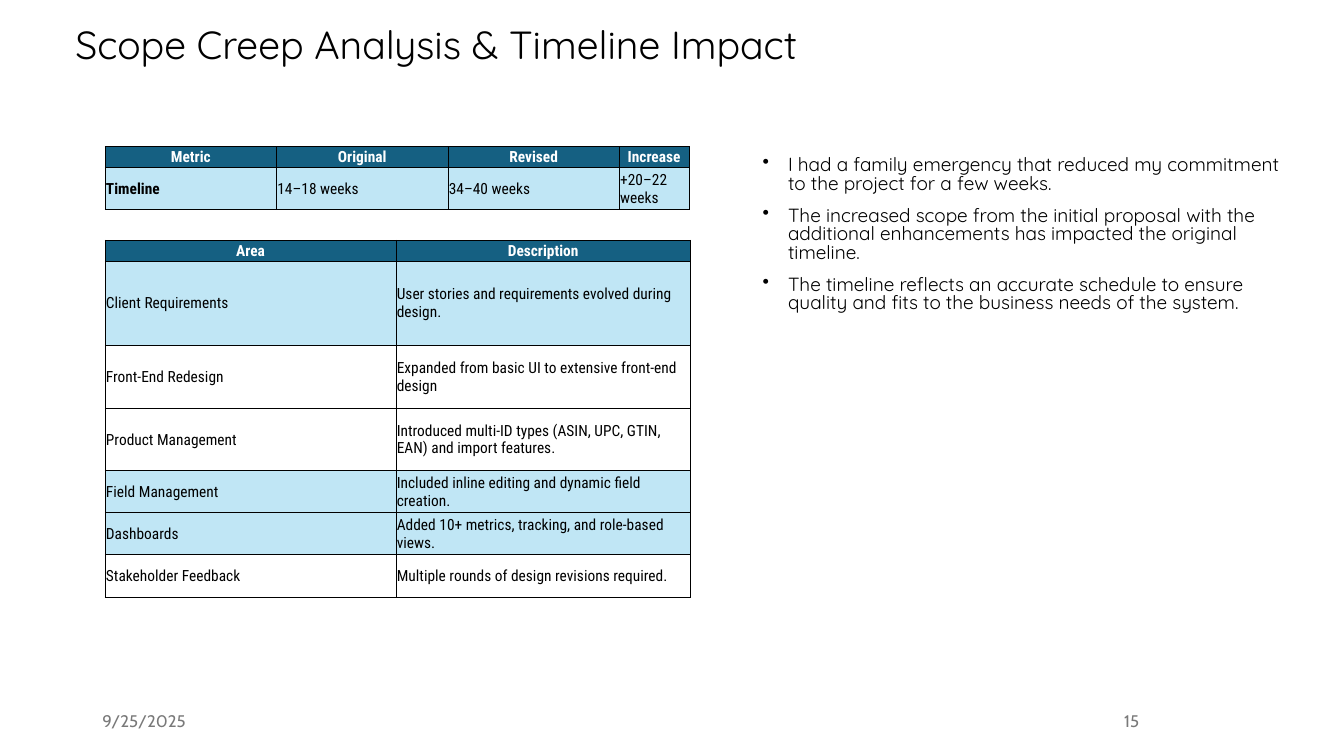
import dataclasses

import pptx
import pptx.dml.color
import pptx.enum.text
import pptx.oxml
import pptx.oxml.ns
import pptx.util

Cm = pptx.util.Cm
Pt = pptx.util.Pt
Align = pptx.enum.text.PP_ALIGN
Anchor = pptx.enum.text.MSO_ANCHOR


@dataclasses.dataclass(frozen=True)
class Theme:
    black: str = "000000"
    white: str = "FFFFFF"
    grey: str = "797979"
    teal: str = "156082"
    pale: str = "C0E6F5"
    head: str = "Quicksand"
    foot: str = "Cabin"
    grid: str = "Roboto Condensed"
    title: float = 28
    body: float = 13.6
    small: float = 12
    cell: float = 11
    edge: float = 0.5


theme = Theme()

METRICS = [
    ("Metric", "Original", "Revised", "Increase"),
    ("Timeline", "14–18 weeks", "34–40 weeks", "+20–22 weeks"),
]
AREAS = [
    ("Area", "Description"),
    ("Client Requirements", "User stories and requirements evolved during design."),
    ("Front-End Redesign", "Expanded from basic UI to extensive front-end design"),
    ("Product Management", "Introduced multi-ID types (ASIN, UPC, GTIN, EAN) and import features."),
    ("Field Management", "Included inline editing and dynamic field creation."),
    ("Dashboards", "Added 10+ metrics, tracking, and role-based views."),
    ("Stakeholder Feedback", "Multiple rounds of design revisions required."),
]
REASONS = [
    "I had a family emergency that reduced my commitment to the project for a few weeks.",
    "The increased scope from the initial proposal with the additional enhancements "
    "has impacted the original timeline.",
    "The timeline reflects an accurate schedule to ensure quality and fits to the "
    "business needs of the system.",
]


def apply(item, form):
    for name, value in form.items():
        setattr(item, name, value)


def color(code):
    return pptx.dml.color.RGBColor.from_string(code)


def write(para, text, face, size, tint, bold=False, **form):
    apply(para, form)
    run = para.add_run()
    run.text = text
    apply(run.font, {"name": face, "size": Pt(size), "bold": bold})
    run.font.color.rgb = color(tint)


def add_box(slide, spot, anchor=Anchor.TOP):
    frame = slide.shapes.add_textbox(*map(Cm, spot)).text_frame
    apply(frame, {"word_wrap": True, "vertical_anchor": anchor})
    return frame


def add_label(slide, spot, text, face, size, tint, anchor=Anchor.TOP, **form):
    frame = add_box(slide, spot, anchor)
    write(frame.paragraphs[0], text, face, size, tint, **form)


def add_list(slide, spot, lines):
    frame = add_box(slide, spot)
    for index, line in enumerate(lines):
        para = frame.add_paragraph() if index else frame.paragraphs[0]
        props = para._p.get_or_add_pPr()
        props.set("marL", str(Cm(0.64)))
        props.set("indent", str(-Cm(0.64)))
        mark = pptx.oxml.parse_xml(
            f'<a:buChar {pptx.oxml.ns.nsdecls("a")} char="•"/>')
        props.append(mark)
        write(para, line, theme.head, theme.body, theme.black,
              line_spacing=0.8, space_before=Pt(10 if index else 0))


def add_edges(cell):
    props = cell._tc.get_or_add_tcPr()
    for side in "LRTB":
        props.append(pptx.oxml.parse_xml(
            f'<a:ln{side} {pptx.oxml.ns.nsdecls("a")} w="{Pt(theme.edge)}">'
            f'<a:solidFill><a:srgbClr val="{theme.black}"/></a:solidFill>'
            f'</a:ln{side}>'))


def fill_cell(cell, text, fill, **form):
    add_edges(cell)
    apply(cell, {
        "vertical_anchor": Anchor.MIDDLE,
        "margin_left": Cm(0.02),
        "margin_right": Cm(0.02),
        "margin_top": Cm(0.02),
        "margin_bottom": 0,
    })
    if fill:
        cell.fill.solid()
        cell.fill.fore_color.rgb = color(fill)
    else:
        cell.fill.background()
    write(cell.text_frame.paragraphs[0], text, theme.grid, theme.cell, **form)


def add_grid(slide, left, top, wide, high, data, tinted, keys=False):
    table = slide.shapes.add_table(
        len(high), len(wide), Cm(left), Cm(top), Cm(sum(wide)), Cm(sum(high))).table
    table.horz_banding = False
    for col, width in zip(table.columns, wide):
        col.width = Cm(width)
    for r, (row, height) in enumerate(zip(table.rows, high)):
        row.height = Cm(height)
        for c, text in enumerate(data[r]):
            if r == 0:
                fill_cell(table.cell(r, c), text, theme.teal, tint=theme.white,
                          bold=True, alignment=Align.CENTER)
            else:
                fill_cell(table.cell(r, c), text, theme.pale if r in tinted else None,
                          tint=theme.black, bold=keys and c == 0)


def main():
    deck = pptx.Presentation()
    apply(deck, {"slide_width": Cm(33.87), "slide_height": Cm(19.05)})
    slide = deck.slides.add_slide(deck.slide_layouts[6])

    add_label(slide, (1.65, 0.53, 29.21, 1.35), "Scope Creep Analysis & Timeline Impact",
              theme.head, theme.title, theme.black, line_spacing=0.9)
    add_grid(slide, 2.65, 3.69, [4.32] * 3 + [1.75], [0.53, 1.06],
             METRICS, {1}, keys=True)
    add_grid(slide, 2.65, 6.05, [7.33, 7.42], [0.53, 2.12] + [1.58] * 2 + [1.06] * 3,
             AREAS, {1, 4, 5})
    add_list(slide, (18.97, 3.84, 14.02, 4.42), REASONS)
    for left, width, text, side in [(2.33, 7.62, "9/25/2025", Align.LEFT),
                                    (23.93, 5.03, "15", Align.RIGHT)]:
        add_label(slide, (left, 17.65, width, 1.02), text, theme.foot, theme.small,
                  theme.grey, Anchor.MIDDLE, alignment=side)

    deck.save("out.pptx")


if __name__ == "__main__":
    main()
